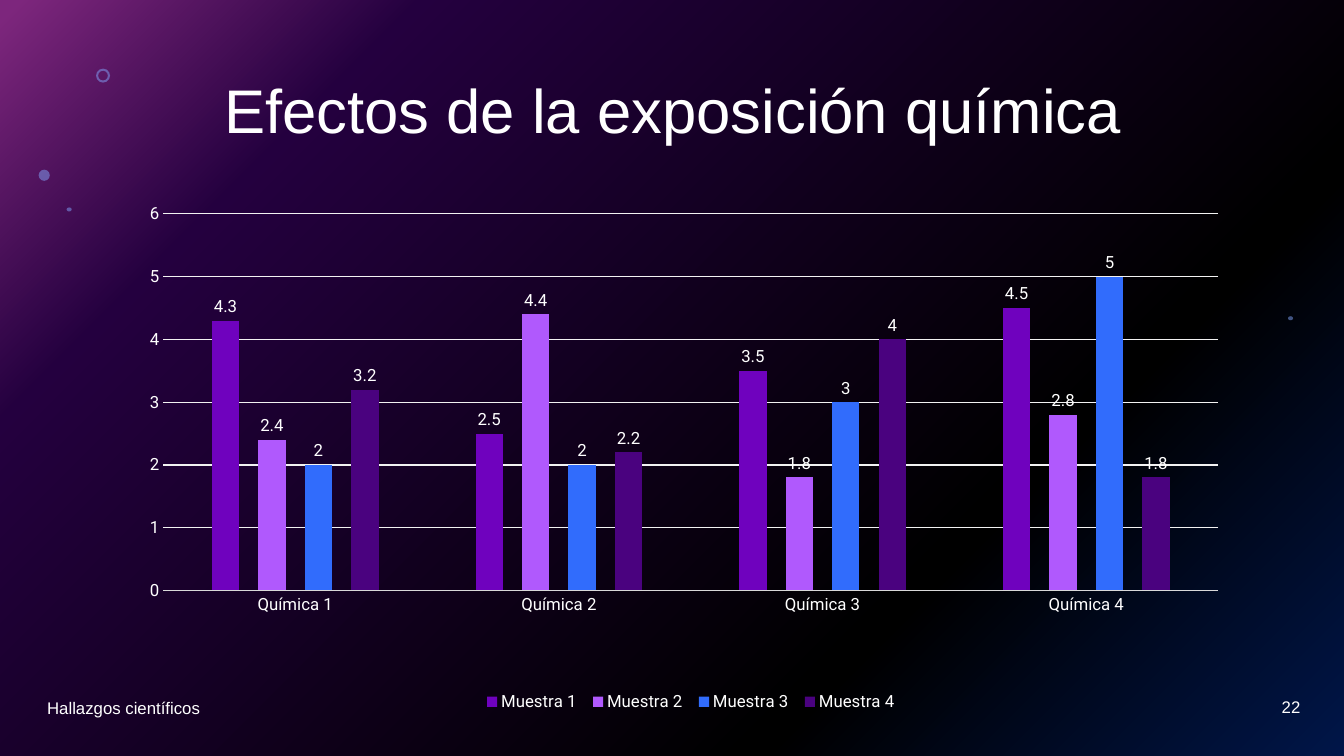
from copy import deepcopy
from dataclasses import dataclass

from lxml.etree import SubElement
from pptx import Presentation
from pptx.chart.chart import Chart
from pptx.chart.data import CategoryChartData
from pptx.dml.color import RGBColor
from pptx.enum.chart import XL_CHART_TYPE, XL_LABEL_POSITION, XL_LEGEND_POSITION, XL_TICK_MARK
from pptx.enum.shapes import MSO_SHAPE
from pptx.enum.text import MSO_ANCHOR, MSO_AUTO_SIZE, PP_ALIGN
from pptx.oxml import parse_xml
from pptx.oxml.ns import nsdecls, qn
from pptx.shapes.autoshape import Shape
from pptx.slide import Slide
from pptx.text.text import Font
from pptx.util import Pt

WHITE = "FFFFFF"
BACKGROUND_STOPS = [(0, "022D94"), (0.28, "000000"), (0.8, "4A027F"), (0.99, "FC4EFB")]
CATEGORIES = [f"Química {number}" for number in range(1, 5)]


@dataclass
class Decoration:
    kind: MSO_SHAPE
    left: float
    top: float
    width: float
    height: float
    fill: str
    opacity: int


@dataclass
class Sample:
    name: str
    values: list[float]
    fill: str


@dataclass
class Footer:
    text: str
    left: float
    top: float
    width: float
    alignment: PP_ALIGN


DECORATIONS = [
    Decoration(MSO_SHAPE.RECTANGLE, 0, 0, 960, 540, "000000", 50),
    Decoration(MSO_SHAPE.DONUT, 68.6, 49, 10, 10, "83A7FD", 49),
    Decoration(MSO_SHAPE.OVAL, 27.6, 121.2, 8, 8, "83A7FD", 49),
    Decoration(MSO_SHAPE.OVAL, 47.6, 148.2, 3.6, 2.9, "83A7FD", 49),
    Decoration(MSO_SHAPE.OVAL, 920, 225.9, 3.6, 2.9, "83A7FD", 49),
]
SAMPLES = [
    Sample("Muestra 1", [4.3, 2.5, 3.5, 4.5], "6F02BE"),
    Sample("Muestra 2", [2.4, 4.4, 1.8, 2.8], "B059FD"),
    Sample("Muestra 3", [2, 2, 3, 5], "316CFC"),
    Sample("Muestra 4", [3.2, 2.2, 4, 1.8], "4A027F"),
]
FOOTERS = [
    Footer("Hallazgos científicos", 26.6, 491, 324, PP_ALIGN.LEFT),
    Footer("22", 720, 490.3, 216, PP_ALIGN.RIGHT),
]


def colour(hex_code: str) -> RGBColor:
    return RGBColor.from_string(hex_code)


def format_font(font: Font, name: str, size: float, hex_code: str) -> None:
    font.name = name
    font.size = Pt(size)
    font.color.rgb = colour(hex_code)


def paint_background(slide: Slide) -> None:
    fill = slide.background.fill
    fill.gradient()
    gradient = slide.element.find(".//" + qn("a:gradFill"))
    stop_list = gradient.find(qn("a:gsLst"))
    while len(stop_list) < len(BACKGROUND_STOPS):
        stop_list.append(deepcopy(stop_list[0]))
    for stop, (position, hex_code) in zip(fill.gradient_stops, BACKGROUND_STOPS):
        stop.position = position
        stop.color.rgb = colour(hex_code)
    gradient.replace(
        gradient.find(qn("a:lin")),
        parse_xml(f'<a:path {nsdecls("a")} path="circle"><a:fillToRect l="100000" t="100000"/></a:path>'),
    )


def draw_decoration(slide: Slide, item: Decoration) -> None:
    shape = slide.shapes.add_shape(
        item.kind, Pt(item.left), Pt(item.top), Pt(item.width), Pt(item.height)
    )
    shape.shadow.inherit = False
    shape.line.fill.background()
    shape.fill.solid()
    shape.fill.fore_color.rgb = colour(item.fill)
    fill_colour = shape.element.spPr.find(".//" + qn("a:srgbClr"))
    SubElement(fill_colour, qn("a:alpha"), val=str(item.opacity * 1000))
    if item.kind == MSO_SHAPE.DONUT:
        shape.adjustments[0] = 0.15


def write_text(shape: Shape, text: str, size: float, alignment: PP_ALIGN) -> None:
    frame = shape.text_frame
    frame.word_wrap = True
    frame.auto_size = MSO_AUTO_SIZE.NONE
    frame.vertical_anchor = MSO_ANCHOR.MIDDLE
    paragraph = frame.paragraphs[0]
    paragraph.alignment = alignment
    run = paragraph.add_run()
    run.text = text
    format_font(run.font, "Arial", size, WHITE)


def place_layout(parent, index: int, box: tuple[float, ...], inner: bool = False) -> None:
    for old_layout in parent.findall(qn("c:layout")):
        parent.remove(old_layout)
    target = '<c:layoutTarget val="inner"/>' if inner else ""
    modes = '<c:xMode val="edge"/><c:yMode val="edge"/>'
    sizes = "".join(f'<c:{key} val="{value}"/>' for key, value in zip("xywh", box))
    parent.insert(index, parse_xml(
        f'<c:layout {nsdecls("c")}><c:manualLayout>{target}{modes}{sizes}</c:manualLayout></c:layout>'
    ))


def format_axes(chart: Chart) -> None:
    for axis in (chart.category_axis, chart.value_axis):
        axis.major_tick_mark = XL_TICK_MARK.NONE
        axis.minor_tick_mark = XL_TICK_MARK.NONE
        format_font(axis.tick_labels.font, "Roboto", 12, WHITE)
    category_line = chart.category_axis.format.line
    category_line.color.rgb = colour("D9D9D9")
    category_line.width = Pt(0.75)
    value_axis = chart.value_axis
    value_axis.minimum_scale = 0
    value_axis.maximum_scale = 6
    value_axis.major_unit = 1
    value_axis.format.line.fill.background()
    value_axis.has_major_gridlines = True
    grid_line = value_axis.major_gridlines.format.line
    grid_line.color.rgb = colour("F2F2F2")
    grid_line.width = Pt(0.75)


def draw_chart(slide: Slide) -> None:
    data = CategoryChartData()
    data.categories = CATEGORIES
    for sample in SAMPLES:
        data.add_series(sample.name, sample.values)
    chart = slide.shapes.add_chart(
        XL_CHART_TYPE.COLUMN_CLUSTERED, Pt(67), Pt(132.5), Pt(828), Pt(407.5), data
    ).chart
    chart.has_title = False
    format_font(chart.font, "Roboto", 10, "000000")
    format_axes(chart)
    plot = chart.plots[0]
    plot.vary_by_categories = False
    plot.gap_width = 355
    plot.overlap = -70
    for series, sample in zip(plot.series, SAMPLES):
        series.format.fill.solid()
        series.format.fill.fore_color.rgb = colour(sample.fill)
        labels = series.data_labels
        labels.show_value = True
        labels.position = XL_LABEL_POSITION.OUTSIDE_END
        format_font(labels.font, "Roboto", 12, WHITE)
    chart.has_legend = True
    legend = chart.legend
    legend.position = XL_LEGEND_POSITION.BOTTOM
    legend.include_in_layout = False
    format_font(legend.font, "Roboto", 12, WHITE)
    chart_space = plot.series[0].format.fill and chart.element
    place_layout(chart_space.find(".//" + qn("c:plotArea")), 0, (0.06, 0.05, 0.91, 0.66), True)
    place_layout(chart_space.find(".//" + qn("c:legend")), 1, (0.33, 0.88, 0.37, 0.05))


def main() -> None:
    presentation = Presentation()
    presentation.slide_width = Pt(960)
    presentation.slide_height = Pt(540)
    slide = presentation.slides.add_slide(presentation.slide_layouts[5])
    paint_background(slide)
    for decoration in DECORATIONS:
        draw_decoration(slide, decoration)
    draw_chart(slide)
    title = slide.shapes.title
    title.left, title.top, title.width, title.height = Pt(67), Pt(28.8), Pt(828), Pt(104.4)
    write_text(title, "Efectos de la exposición química", 44, PP_ALIGN.CENTER)
    title.text_frame.paragraphs[0].line_spacing = 0.9
    title.element.getparent().append(title.element)
    for footer in FOOTERS:
        box = slide.shapes.add_textbox(Pt(footer.left), Pt(footer.top), Pt(footer.width), Pt(28.8))
        write_text(box, footer.text, 12, footer.alignment)
    presentation.save("out.pptx")


if __name__ == "__main__":
    main()
